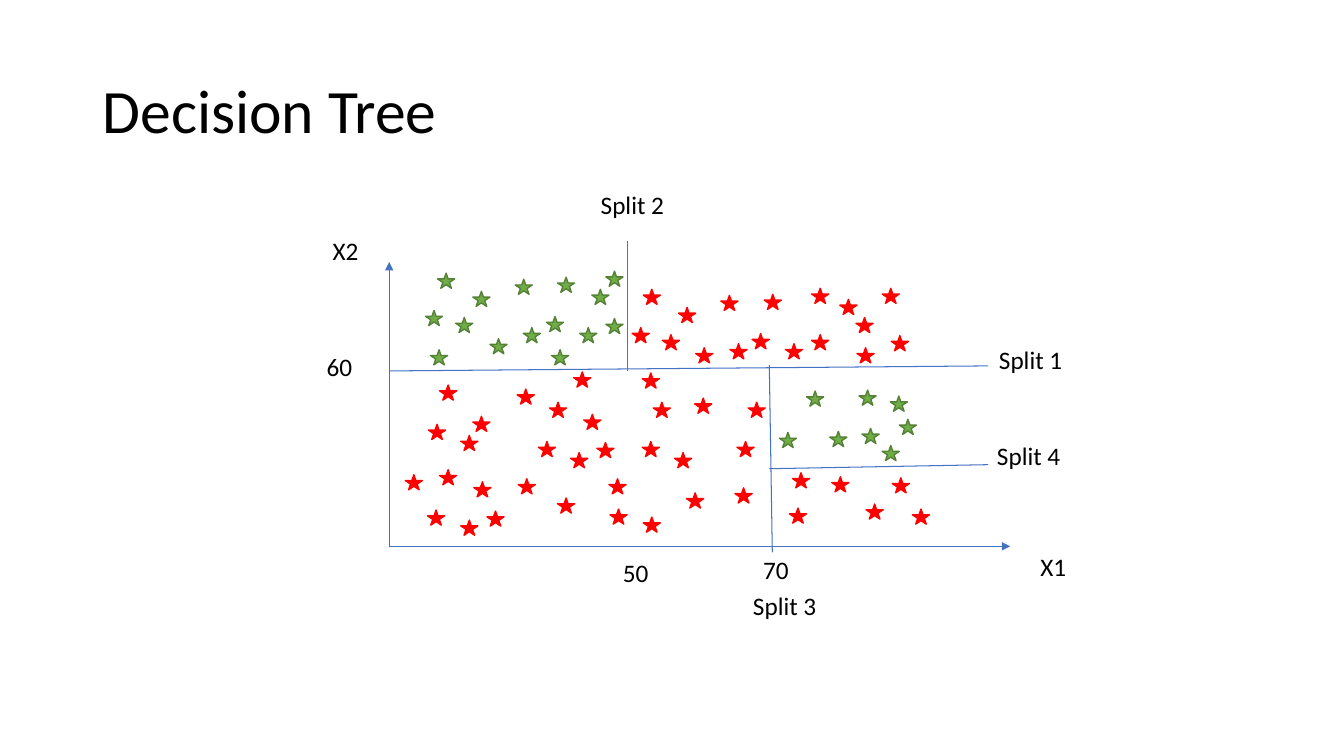
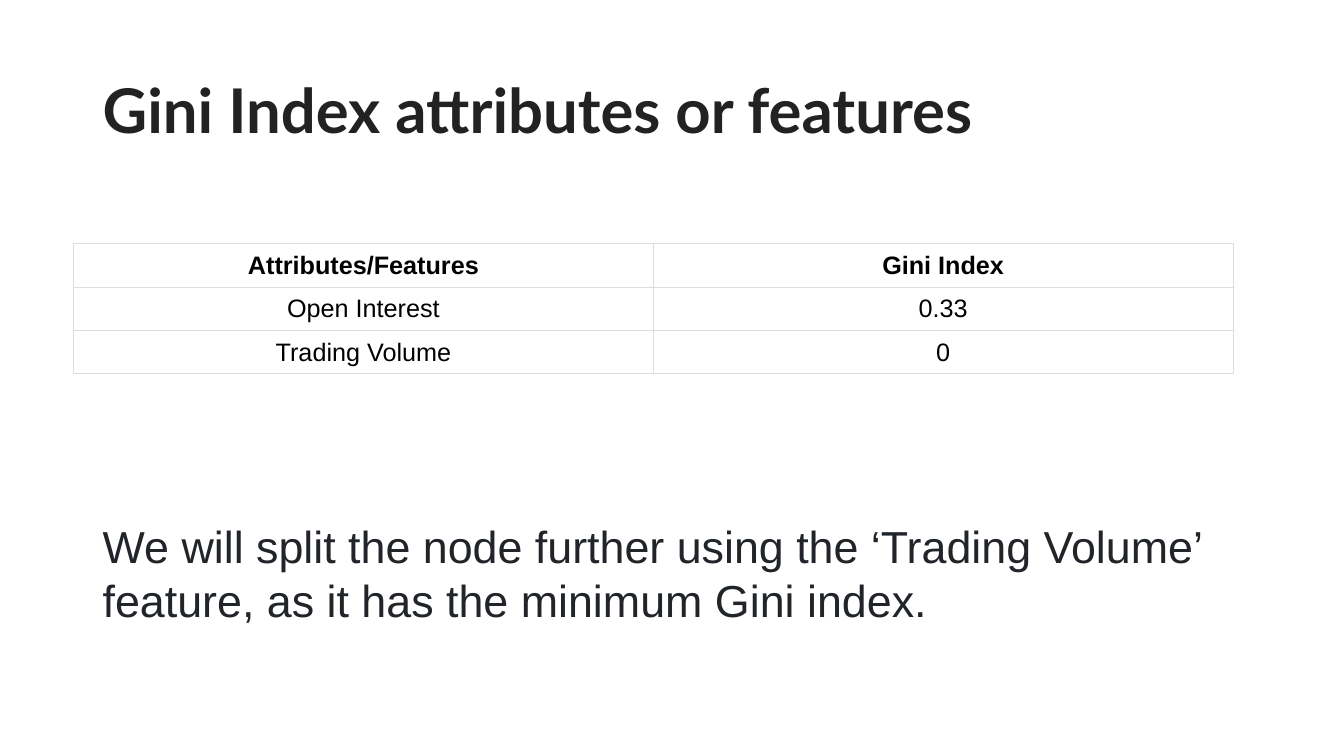
from dataclasses import dataclass

from lxml import etree
from pptx import Presentation
from pptx.dml.color import RGBColor
from pptx.enum.shapes import MSO_CONNECTOR, MSO_SHAPE
from pptx.enum.text import MSO_ANCHOR, MSO_AUTO_SIZE, PP_ALIGN
from pptx.oxml.ns import qn
from pptx.slide import Slide
from pptx.text.text import TextFrame
from pptx.util import Emu, Pt

STRAIGHT = MSO_CONNECTOR.STRAIGHT
STAR = MSO_SHAPE.STAR_5_POINT
TOP, MIDDLE = MSO_ANCHOR.TOP, MSO_ANCHOR.MIDDLE
FIT_TEXT, FIXED = MSO_AUTO_SIZE.SHAPE_TO_FIT_TEXT, MSO_AUTO_SIZE.NONE
LEFT, CENTER = PP_ALIGN.LEFT, PP_ALIGN.CENTER

# Lengths are in px, 100 to the inch
PX = 9144
SLIDE_WIDTH, SLIDE_HEIGHT = 1333, 750
STAR_WIDTH, STAR_HEIGHT = 17, 15
LABEL_HEIGHT = 40

BLACK = RGBColor(0x00, 0x00, 0x00)
WHITE = RGBColor(0xFF, 0xFF, 0xFF)
BLUE = RGBColor(0x44, 0x72, 0xC4)
RED = RGBColor(0xFF, 0x00, 0x00)
GREEN = RGBColor(0x70, 0xAD, 0x47)
DARK_GREEN = RGBColor(0x54, 0x81, 0x35)
TITLE_GRAY = RGBColor(0x22, 0x22, 0x22)
TEXT_GRAY = RGBColor(0x21, 0x25, 0x29)
BORDER_GRAY = RGBColor(0xDD, 0xDD, 0xDD)


@dataclass(frozen=True)
class Box:
    left: int
    top: int
    width: int
    height: int

    def emu(self) -> tuple[Emu, ...]:
        return tuple(px(n) for n in (self.left, self.top, self.width, self.height))


@dataclass(frozen=True)
class Line:
    start: tuple[int, int]
    end: tuple[int, int]
    arrow: bool = False


@dataclass(frozen=True)
class Label:
    text: str
    left: int
    top: int
    width: int = 100


@dataclass(frozen=True)
class Region:
    """The stars of one class in one part of the plot, by top left corner."""
    fill: RGBColor
    outline: RGBColor
    corners: tuple[tuple[int, int], ...]


TITLE_BOX = Box(92, 40, 1150, 145)

LINES = (
    Line((386, 542), (386, 260), arrow=True),
    Line((386, 542), (1002, 542), arrow=True),
    Line((386, 368), (980, 363)),
    Line((622, 368), (622, 239)),
    Line((763, 362), (766, 548)),
    Line((763, 465), (980, 461)),
)

LABELS = (
    Label("X1", 1022, 542, 89),
    Label("X2", 320, 229, 49),
    Label("Split 1", 981, 337),
    Label("Split 2", 586, 183),
    Label("Split 3", 737, 581),
    Label("Split 4", 979, 432),
    Label("60", 314, 344, 69),
    Label("50", 608, 548, 61),
    Label("70", 747, 545, 61),
)

REGIONS = (
    # Above split 1, left of split 2
    Region(GREEN, DARK_GREEN, (
        (434, 271), (519, 325), (452, 315), (469, 289), (511, 277),
        (542, 314), (422, 308), (553, 275), (547, 347), (486, 336),
        (427, 347), (575, 325), (587, 287), (601, 269), (601, 316))),
    # Above split 1, right of split 2
    Region(RED, RED, (
        (638, 287), (724, 341), (657, 332), (673, 305), (715, 293),
        (746, 331), (627, 325), (758, 292), (690, 345), (779, 341),
        (805, 286), (805, 332), (884, 333), (833, 297), (849, 315),
        (875, 286), (850, 345))),
    # Below split 1, left of split 3
    Region(RED, RED, (
        (638, 513), (425, 421), (436, 382), (469, 413), (457, 432),
        (513, 386), (514, 475), (534, 438), (545, 399), (553, 494),
        (566, 449), (579, 411), (592, 439), (424, 506), (436, 466),
        (402, 471), (457, 516), (470, 478), (483, 507), (637, 438),
        (648, 399), (604, 475), (669, 449), (569, 369), (689, 395),
        (731, 438), (742, 399), (605, 505), (637, 370), (729, 484),
        (681, 489))),
    # Right of split 3, above split 4
    Region(GREEN, DARK_GREEN, (
        (800, 388), (852, 387), (773, 429), (823, 428), (892, 416),
        (855, 425), (875, 442), (883, 393))),
    # Right of split 3, below split 4
    Region(RED, RED, (
        (885, 474), (786, 469), (905, 505), (825, 473), (783, 504),
        (859, 500))),
)

GINI_ROWS = (
    ("Attributes/Features", "Gini Index"),
    ("Open Interest", "0.33"),
    ("Trading Volume", "0"),
)


def px(length: int) -> Emu:
    return Emu(length * PX)


# Text
def write(frame: TextFrame, text: str, *, size: int = 18, font: str = "Calibri",
          color: RGBColor = BLACK, bold: bool = False,
          align: PP_ALIGN = LEFT, spacing: float = 1.0) -> None:
    para = frame.paragraphs[0]
    para.alignment = align
    para.line_spacing = spacing
    span = para.add_run()
    span.text = text
    span.font.size = Pt(size)
    span.font.name = font
    span.font.bold = bold
    span.font.color.rgb = color


def add_text_box(slide: Slide, box: Box, *, anchor: MSO_ANCHOR = TOP,
                 fit: MSO_AUTO_SIZE = FIT_TEXT) -> TextFrame:
    frame = slide.shapes.add_textbox(*box.emu()).text_frame
    frame.word_wrap = True
    frame.auto_size = fit
    frame.vertical_anchor = anchor
    return frame


def add_titled_slide(deck: Presentation, title: str, *, font: str = "Calibri",
                     color: RGBColor = BLACK, bold: bool = False) -> Slide:
    slide = deck.slides.add_slide(deck.slide_layouts[6])
    frame = add_text_box(slide, TITLE_BOX, anchor=MIDDLE, fit=FIXED)
    write(frame, title, size=44, font=font, color=color, bold=bold, spacing=0.9)
    return slide


# Plot parts
def add_line(slide: Slide, line: Line) -> None:
    connector = slide.shapes.add_connector(
        STRAIGHT, *(px(n) for n in line.start + line.end))
    connector.line.color.rgb = BLUE
    connector.line.width = Pt(0.75)
    properties = connector.element.spPr
    if line.arrow:
        etree.SubElement(properties.find(qn("a:ln")), qn("a:tailEnd"), type="triangle")
    etree.SubElement(properties, qn("a:effectLst"))


def add_stars(slide: Slide, region: Region) -> None:
    for left, top in region.corners:
        star = slide.shapes.add_shape(
            STAR, *Box(left, top, STAR_WIDTH, STAR_HEIGHT).emu())
        star.shadow.inherit = False
        star.fill.solid()
        star.fill.fore_color.rgb = region.fill
        star.line.color.rgb = region.outline
        star.line.width = Pt(1)


# Table
def add_borders(properties: etree.ElementBase) -> None:
    for side in ("a:lnL", "a:lnR", "a:lnT", "a:lnB"):
        border = etree.SubElement(properties, qn(side), w=str(Pt(0.75)))
        fill = etree.SubElement(border, qn("a:solidFill"))
        etree.SubElement(fill, qn("a:srgbClr"), val=str(BORDER_GRAY))


def add_table(slide: Slide, rows: tuple[tuple[str, ...], ...], box: Box) -> None:
    table = slide.shapes.add_table(len(rows), len(rows[0]), *box.emu()).table
    table.first_row = False
    table.horz_banding = False
    for row_index, row in enumerate(rows):
        for column_index, text in enumerate(row):
            cell = table.cell(row_index, column_index)
            add_borders(cell._tc.get_or_add_tcPr())
            cell.fill.solid()
            cell.fill.fore_color.rgb = WHITE
            cell.vertical_anchor = MIDDLE
            cell.margin_left = cell.margin_right = px(16)
            cell.margin_top = cell.margin_bottom = px(7)
            write(cell.text_frame, text, font="Arial", bold=row_index == 0,
                  align=CENTER)


# Slides
def build_decision_tree(deck: Presentation) -> None:
    slide = add_titled_slide(deck, "Decision Tree")
    for region in REGIONS:
        add_stars(slide, region)
    for line in LINES:
        add_line(slide, line)
    for label in LABELS:
        box = Box(label.left, label.top, label.width, LABEL_HEIGHT)
        write(add_text_box(slide, box), label.text)


def build_gini_index(deck: Presentation) -> None:
    slide = add_titled_slide(deck, "Gini Index attributes or features",
                             font="Lato", color=TITLE_GRAY, bold=True)
    add_table(slide, GINI_ROWS, Box(73, 242, 1150, 129))
    write(add_text_box(slide, Box(92, 510, 1173, 118)),
          "We will split the node further using the ‘Trading Volume’ feature, "
          "as it has the minimum Gini index.",
          size=32, font="Arial", color=TEXT_GRAY)


def main() -> None:
    deck = Presentation()
    deck.slide_width, deck.slide_height = px(SLIDE_WIDTH), px(SLIDE_HEIGHT)
    build_decision_tree(deck)
    build_gini_index(deck)
    deck.save("out.pptx")


if __name__ == "__main__":
    main()
